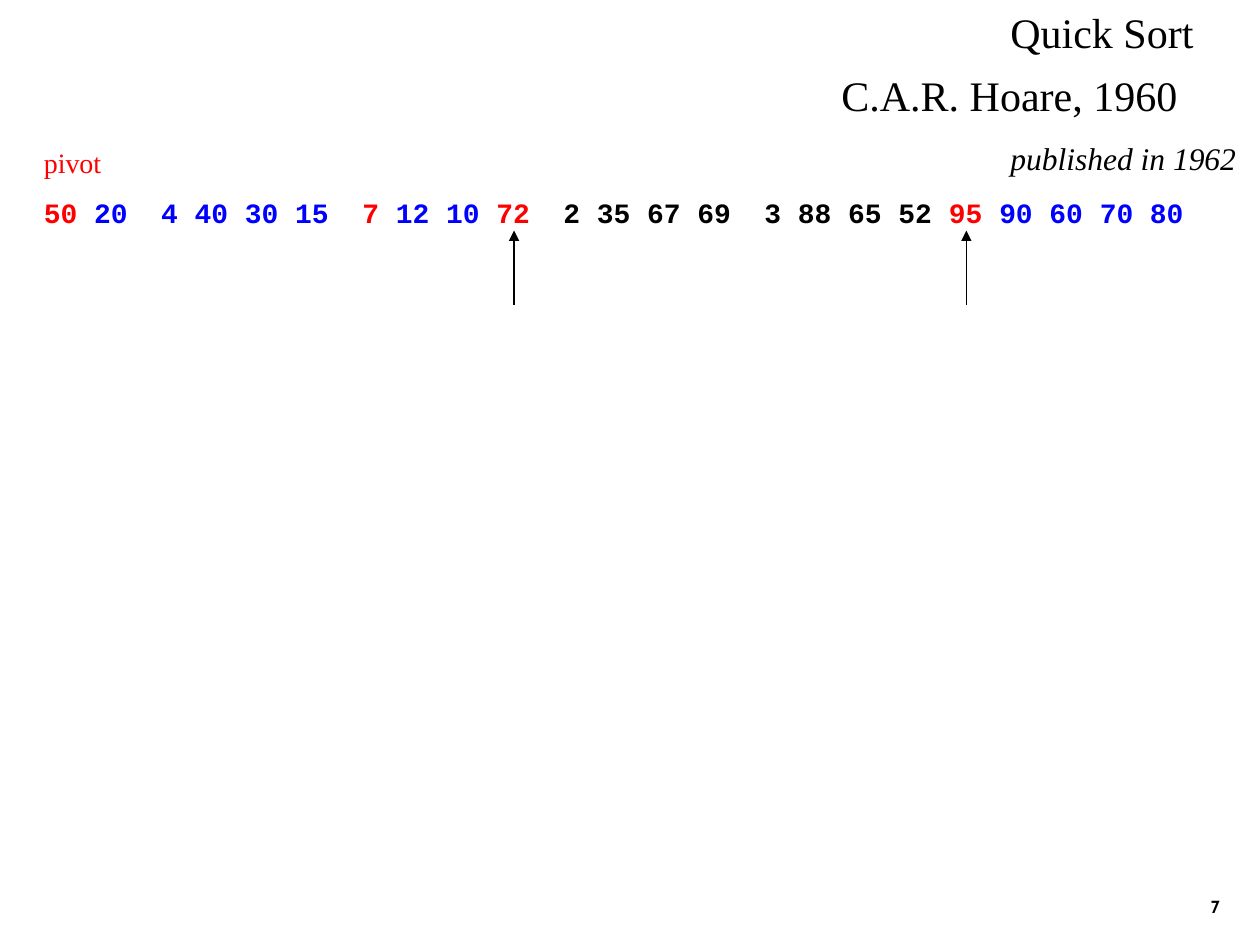
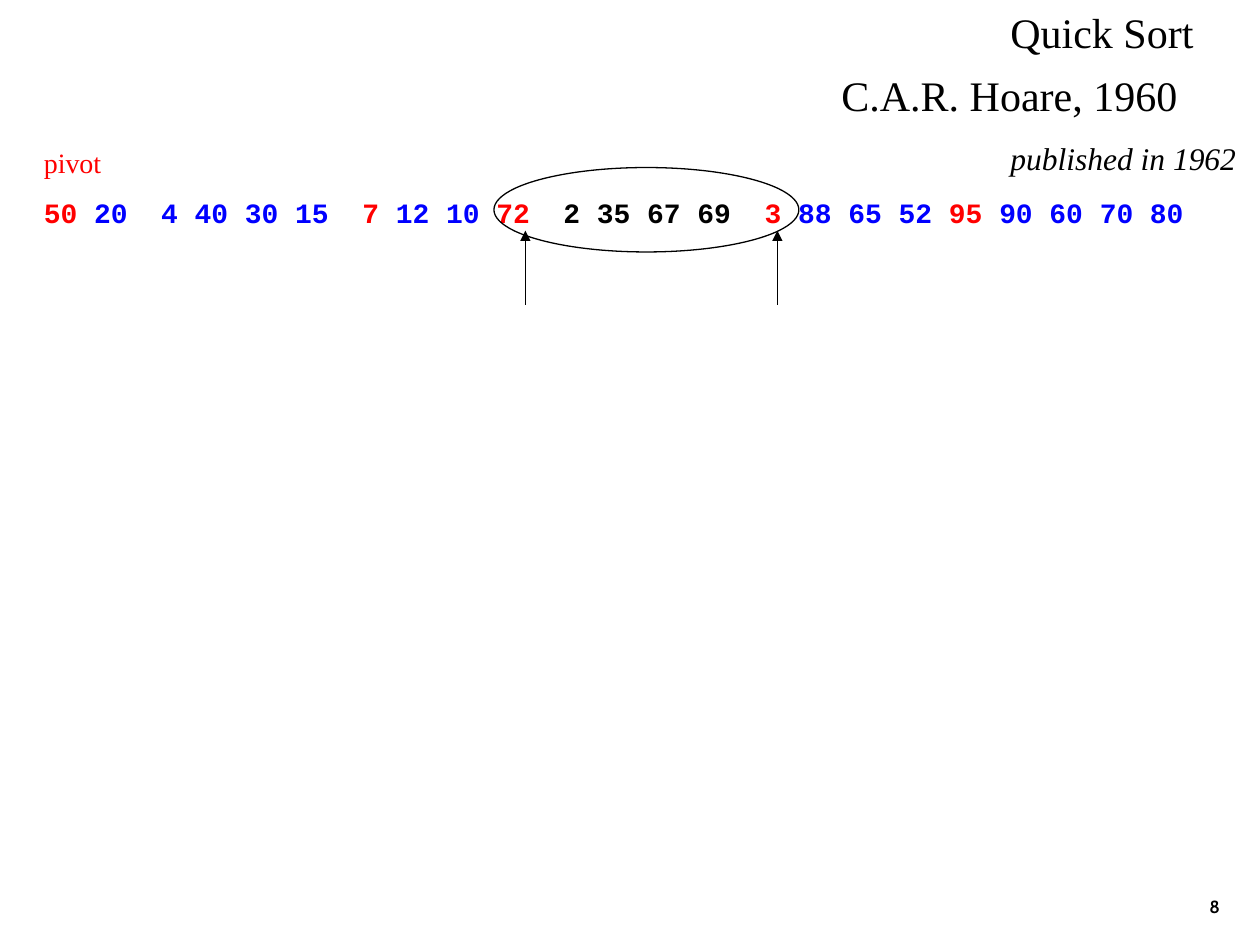
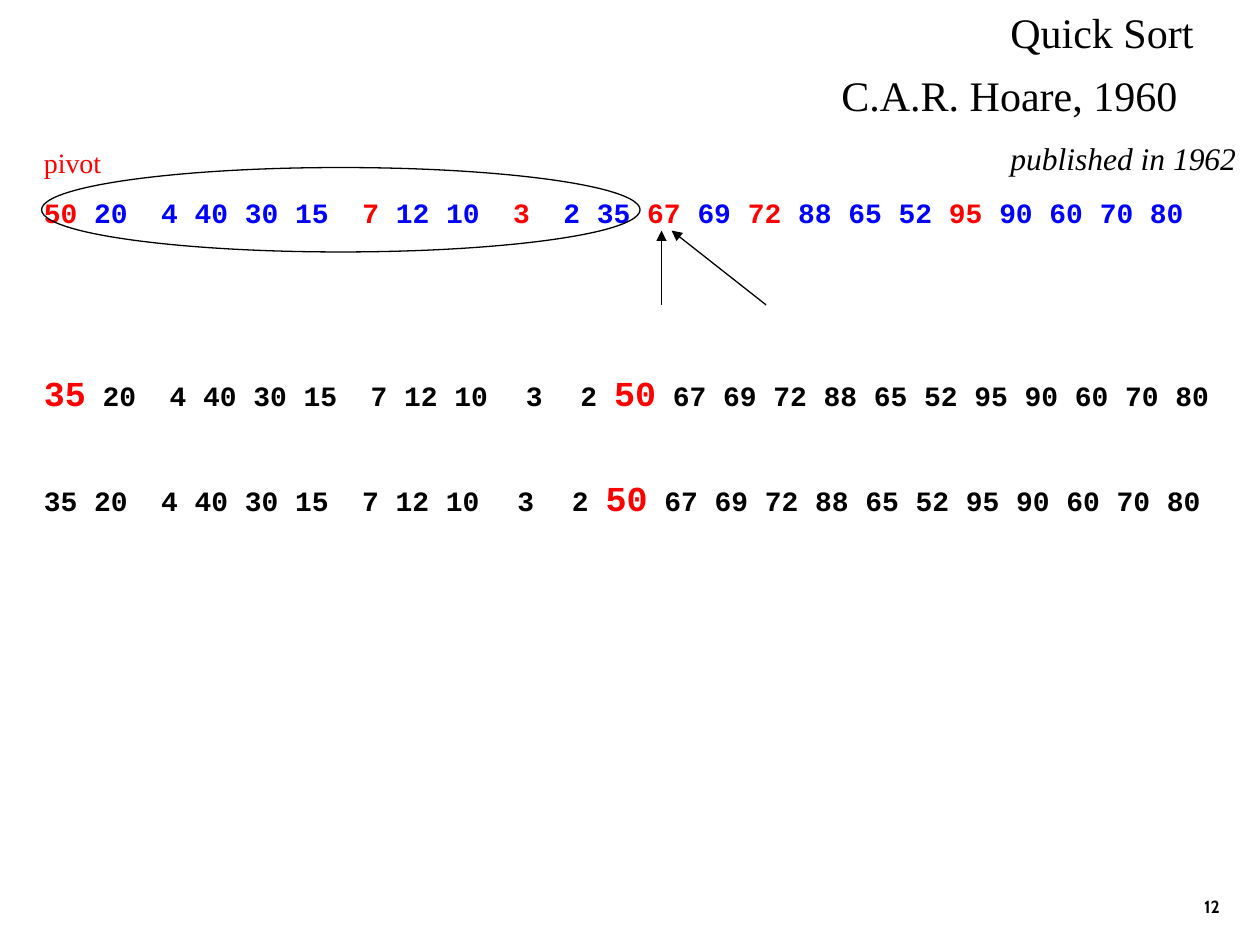
import pptx
import pptx.util
import pptx.dml.color
import pptx.enum.text
import pptx.enum.shapes
import pptx.oxml

Inches = pptx.util.Inches
Pt = pptx.util.Pt
Align = pptx.enum.text.PP_ALIGN
Anchor = pptx.enum.text.MSO_ANCHOR
Fit = pptx.enum.text.MSO_AUTO_SIZE
Element = pptx.oxml.xmlchemy.OxmlElement

COLOURS = {"red": "FF0000", "blue": "0000FF", "ink": "000000"}
SERIF = "Times New Roman"
MONO = "Courier New"
HEAD = {"name": SERIF, "size": Pt(24)}
NOTE = {"name": SERIF, "size": Pt(18), "italic": True}
LABEL = {"name": SERIF, "size": Pt(16)}
FOOT = {"name": "Cabin", "size": Pt(10), "bold": True}
DIGIT = {"name": MONO, "size": Pt(16), "bold": True}
LARGE = {**DIGIT, "size": Pt(20)}
STROKE = Pt(0.74)


def hue(key):
    return pptx.dml.color.RGBColor.from_string(COLOURS[key])


def assign(item, values):
    for key, value in values.items():
        setattr(item, key, value)


def write(slide, box, paras, wrap=True, fit=Fit.SHAPE_TO_FIT_TEXT,
          anchor=Anchor.TOP):
    frame = slide.shapes.add_textbox(*map(Inches, box)).text_frame
    assign(frame, {"word_wrap": wrap, "auto_size": fit,
                   "vertical_anchor": anchor})
    for index, (form, runs) in enumerate(paras):
        para = frame.add_paragraph() if index else frame.paragraphs[0]
        assign(para, form)
        for text, key, font in runs:
            run = para.add_run()
            run.text = text
            assign(run.font, font)
            run.font.color.rgb = hue(key)


def title(slide, box):
    left, top, width, height = box
    write(slide, (left + 1.34, top, width - 1.34, 0.5),
          [({"space_before": Pt(15)}, [("Quick Sort", "ink", HEAD)])])
    write(slide, (left, top + 0.5, width - 0.09, height - 0.5),
          [({"space_before": Pt(15)}, [("C.A.R. Hoare, 1960", "ink", HEAD)]),
           ({"space_before": Pt(11.2), "alignment": Align.RIGHT},
            [("published in 1962", "ink", NOTE)])])


def footer(slide, box, number):
    write(slide, box, [({"alignment": Align.RIGHT},
                        [(str(number), "ink", FOOT)])],
          fit=Fit.NONE, anchor=Anchor.BOTTOM)


def row(slide, box, parts):
    runs = [(text, key, LARGE if big else DIGIT)
            for key, text, big in parts]
    write(slide, box, [({"space_before": Pt(10)}, runs)])


def arrow(slide, start, end):
    link = slide.shapes.add_connector(
        pptx.enum.shapes.MSO_CONNECTOR.STRAIGHT,
        *map(Inches, start + end))
    link.line.width = STROKE
    link.line.color.rgb = hue("ink")
    tip = Element("a:tailEnd")
    tip.set("type", "triangle")
    link.line._get_or_add_ln().append(tip)
    link._element.spPr.append(Element("a:effectLst"))


def ring(slide, box):
    oval = slide.shapes.add_shape(
        pptx.enum.shapes.MSO_SHAPE.OVAL, *map(Inches, box))
    oval.shadow.inherit = False
    oval.fill.background()
    oval.line.width = STROKE
    oval.line.color.rgb = hue("ink")


def sort(slide, box, parts, arrows, span=None):
    left, top, width, height = box
    row(slide, (left, top + 0.39, width, 0.37),
        [(key, text, False) for key, text in parts])
    write(slide, (left, top, 0.7, 0.37),
          [({}, [("pivot", "red", LABEL)])])
    for foot, tip in arrows:
        arrow(slide, (left + foot, top + height),
              (left + tip, top + 0.72))
    if span:
        ring(slide, (left + span[0], top + 0.22, span[1], 0.67))


START = [("red", "50 "), ("blue", "20  4 40 30 15  "), ("red", "7 "),
         ("blue", "12 10 ")]
END = [("red", "95 "), ("blue", "90 60 70 80")]
STEPS = [
    (7, [("red", "72 "), ("ink", " 2 35 67 69  3 88 65 52 ")],
     [(3.83, 3.83), (7.42, 7.42)], None),
    (8, [("red", "72 "), ("ink", " 2 35 67 69  "), ("red", "3 "),
         ("blue", "88 65 52 ")],
     [(3.92, 3.92), (5.92, 5.92)], (3.67, 2.42)),
    (12, [("red", " 3  "), ("blue", "2 35 "), ("red", "67 "),
          ("blue", "69 "), ("red", "72 "), ("blue", "88 65 52 ")],
     [(5.0, 5.0), (5.83, 5.08)], (0.08, 4.75)),
]
REST = [("ink", " 20  4 40 30 15  7 12 10 ", False), ("ink", " ", True),
        ("ink", "3", False), ("ink", " ", True), ("ink", " 2 ", False),
        ("red", "50", True),
        ("ink", " 67 69 72 88 65 52 95 90 60 70 80", False)]
RESULTS = {12: [("red", True), ("ink", False)]}

deck = pptx.Presentation()
assign(deck, {"slide_width": Inches(10), "slide_height": Inches(7.5)})
for number, middle, arrows, span in STEPS:
    slide = deck.slides.add_slide(deck.slide_layouts[6])
    sort(slide, (0.25, 1.11, 9.5, 1.31), START + middle + END, arrows, span)
    for index, (key, big) in enumerate(RESULTS.get(number, [])):
        row(slide, (0.25, 2.9 + 0.83 * index, 9.5, 0.44),
            [(key, "35", big)] + REST)
    title(slide, (6.58, 0, 3.42, 1.46))
    footer(slide, (7.7, 6.83, 2.08, 0.5), number)
deck.save("out.pptx")
